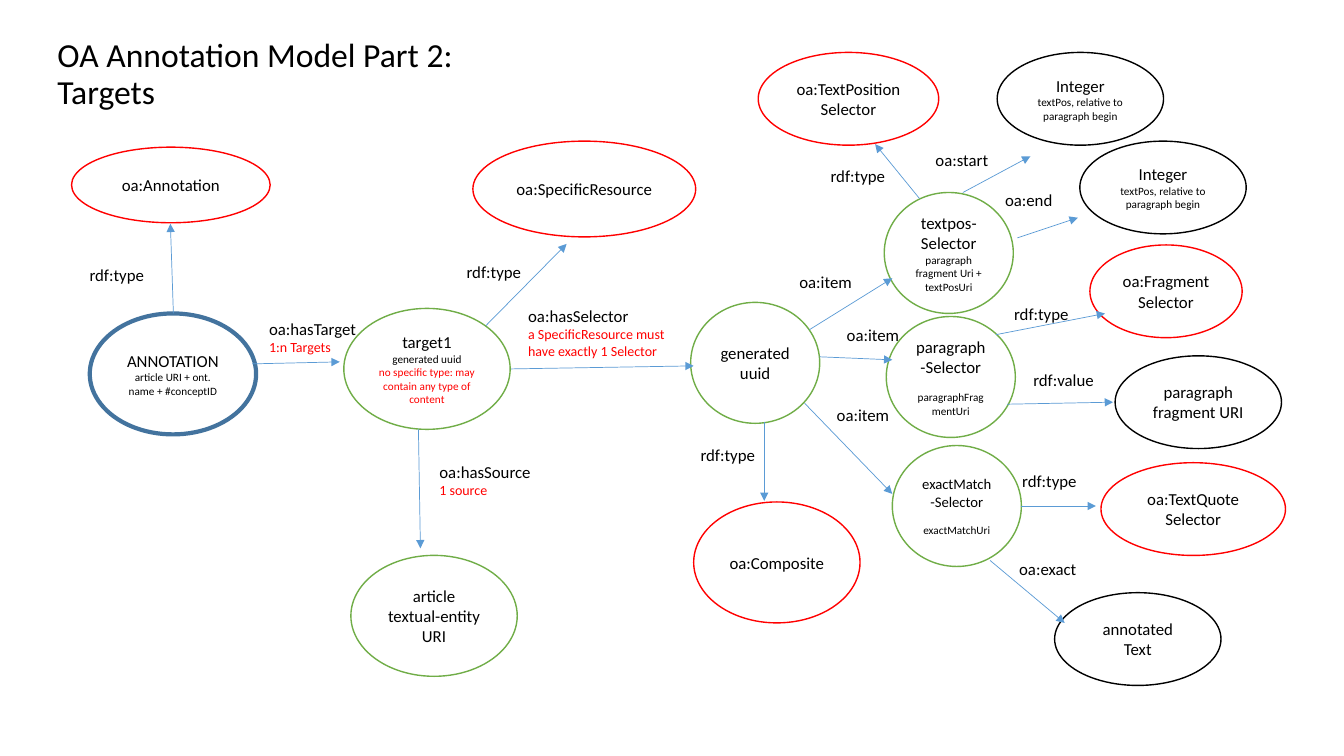
from dataclasses import dataclass

from lxml.etree import SubElement
from pptx import Presentation
from pptx.dml.color import RGBColor
from pptx.enum.shapes import MSO_CONNECTOR, MSO_SHAPE
from pptx.enum.text import MSO_ANCHOR, MSO_AUTO_SIZE, PP_ALIGN
from pptx.oxml.ns import qn
from pptx.util import Inches, Pt


@dataclass(frozen=True)
class Theme:
    """Colours, type sizes and line widths of the slide."""
    font: str = "Calibri"
    black: str = "000000"
    red: str = "FF0000"
    green: str = "70AD47"
    navy: str = "43739E"
    arrow: str = "5B9BD5"
    title: float = 24
    body: float = 12
    compact: float = 10.5
    note: float = 10
    detail: float = 8
    gap: float = 9.6
    arrow_width: float = 0.5
    outline: float = 1
    heavy: float = 3


THEME = Theme()
LARGE = (1.65, 1.2)
CIRCLE = (1.28, 1.2)
SMALL = (1.65, 0.92)


@dataclass(frozen=True)
class Words:
    """One paragraph with its look."""
    text: str
    size: float = THEME.body
    color: str = THEME.black
    before: float = 0


def detail(text, color=THEME.black, before=0):
    """Describe a small line below the name of a node."""
    return Words(text, THEME.detail, color, before)


POSITION_NOTE = detail("textPos, relative to paragraph begin")

# Left and top, size, outline colour, paragraphs
NODES = [
    ((0.71, 1.46), (1.97, 0.75), THEME.red, ["oa:Annotation"]),
    ((0.89, 3.11), LARGE, THEME.navy,
     ["ANNOTATION", detail("article URI + ont. name + #conceptID")]),
    ((3.41, 3.06), LARGE, THEME.green,
     ["target1", detail("generated uuid"),
      detail("no specific type: may contain any type of content", THEME.red)]),
    ((4.69, 1.4), (2.21, 0.95), THEME.red, ["oa:SpecificResource"]),
    ((3.48, 5.51), LARGE, THEME.green, ["article textual-entity URI"]),
    ((6.88, 4.98), LARGE, THEME.red, ["oa:Composite"]),
    ((6.85, 3), CIRCLE, THEME.green, ["generated uuid"]),
    ((10.81, 2.43), (1.51, 0.92), THEME.red, ["oa:FragmentSelector"]),
    ((7.52, 0.52), (1.79, 0.92), THEME.red, ["oa:TextPositionSelector"]),
    ((10.92, 4.59), (1.83, 0.92), THEME.red, ["oa:TextQuote", "Selector"]),
    ((10.46, 5.88), SMALL, THEME.black, ["annotated Text"]),
    ((8.77, 1.91), CIRCLE, THEME.green,
     ["textpos-Selector", detail("paragraph fragment Uri + textPosUri")]),
    ((8.79, 3.14), CIRCLE, THEME.green,
     ["paragraph-Selector", detail("paragraphFragmentUri", before=THEME.gap)]),
    ((8.85, 4.42), CIRCLE, THEME.green,
     [Words("exactMatch-Selector", THEME.compact),
      detail("exactMatchUri", before=THEME.gap)]),
    ((11.06, 3.53), SMALL, THEME.black, ["paragraph fragment URI"]),
    ((9.89, 0.52), SMALL, THEME.black, ["Integer", POSITION_NOTE]),
    ((10.71, 1.4), SMALL, THEME.black, ["Integer", POSITION_NOTE]),
]

# Start and end of each relation
ARROWS = [
    ((1.72, 3.11), (1.69, 2.22)),
    ((2.5, 3.61), (3.37, 3.59)),
    ((4.82, 3.23), (5.62, 2.42)),
    ((4.15, 4.26), (4.17, 5.44)),
    ((5.07, 3.66), (6.88, 3.63)),
    ((7.58, 4.19), (7.58, 4.97)),
    ((8.03, 3.27), (8.85, 2.76)),
    ((8.13, 3.54), (8.85, 3.57)),
    ((7.98, 4), (8.85, 4.9)),
    ((9.82, 5.56), (10.56, 6.18)),
    ((9.12, 1.97), (8.68, 1.43)),
    ((9.88, 3.32), (10.96, 3.11)),
    ((10.13, 5.02), (10.87, 5.02)),
    ((9.99, 4.01), (11.04, 3.99)),
    ((9.55, 1.91), (10.22, 1.55)),
    ((10.09, 2.36), (10.69, 2.16)),
]

# Relation name and the left and top of each place it labels
LABELS = {
    "rdf:type": [(0.79, 2.58), (6.85, 4.36), (4.53, 2.55), (8.14, 1.6),
                 (9.96, 2.96), (10.04, 4.62)],
    "oa:item": [(8.3, 3.17), (7.83, 2.65), (8.2, 3.97)],
    "oa:exact": [(10.01, 5.49)],
    "oa:start": [(9.18, 1.44)],
    "oa:end": [(9.87, 1.83)],
    "rdf:value": [(10.15, 3.62)],
}

# Left and top, height, relation name, red note
NOTED_LABELS = [
    ((2.57, 3.11), 0.47, "oa:hasTarget", "1:n Targets"),
    ((4.26, 4.53), 0.47, "oa:hasSource", "1 source"),
    ((5.14, 2.98), 0.64, "oa:hasSelector",
     "a SpecificResource must have exactly 1 Selector"),
]


def inches(*lengths):
    """Turn numbers into lengths."""
    return [Inches(length) for length in lengths]


def write(frame, paragraphs, align=PP_ALIGN.LEFT):
    """Fill a text frame; plain strings take the body look."""
    frame.word_wrap = True
    for index, item in enumerate(paragraphs):
        words = Words(item) if isinstance(item, str) else item
        para = frame.add_paragraph() if index else frame.paragraphs[0]
        para.text = words.text
        para.alignment = align
        para.space_before = Pt(words.before)
        para.font.name = THEME.font
        para.font.size = Pt(words.size)
        para.font.color.rgb = RGBColor.from_string(words.color)


def add_title(page, text):
    """Place and format the title placeholder."""
    title = page.shapes.title
    title.left, title.top, title.width, title.height = inches(0.47, 0.02, 11.5, 1.45)
    frame = title.text_frame
    frame.auto_size = MSO_AUTO_SIZE.NONE
    frame.vertical_anchor = MSO_ANCHOR.MIDDLE
    write(frame, [Words(text, THEME.title)])
    frame.paragraphs[0].line_spacing = 0.9


def add_node(page, place, size, color, paragraphs):
    """Draw an unfilled ellipse with centred text."""
    node = page.shapes.add_shape(MSO_SHAPE.OVAL, *inches(*place, *size))
    node.shadow.inherit = False
    node.fill.background()
    node.line.color.rgb = RGBColor.from_string(color)
    node.line.width = Pt(THEME.heavy if color == THEME.navy else THEME.outline)
    node.text_frame.vertical_anchor = MSO_ANCHOR.MIDDLE
    write(node.text_frame, paragraphs, PP_ALIGN.CENTER)


def add_arrow(page, start, end):
    """Draw a thin line with a triangle at its end."""
    arrow = page.shapes.add_connector(MSO_CONNECTOR.STRAIGHT, *inches(*start, *end))
    arrow.line.color.rgb = RGBColor.from_string(THEME.arrow)
    arrow.line.width = Pt(THEME.arrow_width)
    properties = arrow.element.spPr
    SubElement(properties.find(qn("a:ln")), qn("a:tailEnd"), type="triangle")
    SubElement(properties, qn("a:effectLst"))


def add_label(page, place, paragraphs, width=1, height=0.3):
    """Write the name of a relation beside its arrow."""
    box = page.shapes.add_textbox(*inches(*place, width, height))
    box.text_frame.auto_size = MSO_AUTO_SIZE.SHAPE_TO_FIT_TEXT
    write(box.text_frame, paragraphs)


def main():
    """Build the slide and save it."""
    deck = Presentation()
    deck.slide_width, deck.slide_height = inches(13.33, 7.5)
    page = deck.slides.add_slide(deck.slide_layouts[5])
    add_title(page, "OA Annotation Model Part 2: \vTargets")
    for node in NODES:
        add_node(page, *node)
    for start, end in ARROWS:
        add_arrow(page, start, end)
    for name, places in LABELS.items():
        for place in places:
            add_label(page, place, [name])
    for place, height, name, note in NOTED_LABELS:
        paragraphs = [name, Words(note, THEME.note, THEME.red)]
        add_label(page, place, paragraphs, 1.6, height)
    deck.save("out.pptx")


main()
